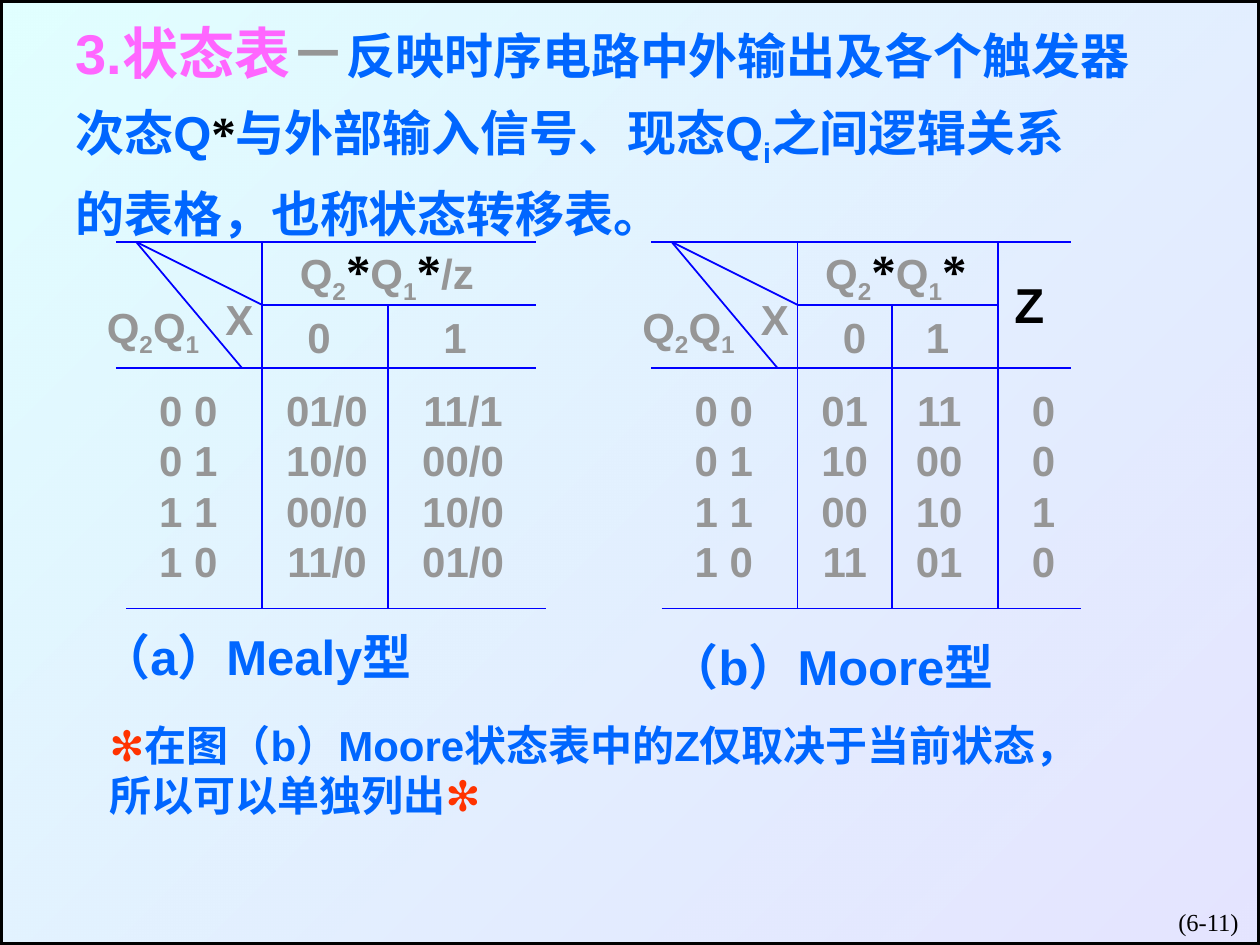
import pptx
import pptx.util
import pptx.dml.color
import pptx.enum.shapes
import pptx.enum.text
import pptx.oxml.ns
from lxml import etree
from pptx.util import Inches

RGBColor = pptx.dml.color.RGBColor
BLACK = RGBColor(0x00, 0x00, 0x00)
GREY = RGBColor(0x96, 0x96, 0x96)
BLUE = RGBColor(0x00, 0x66, 0xFF)
LINE_BLUE = RGBColor(0x00, 0x00, 0xFF)
PINK = RGBColor(0xFF, 0x66, 0xFF)
RED = RGBColor(0xFF, 0x33, 0x00)
PALE_CYAN = RGBColor(0xCC, 0xFF, 0xFF)
PALE_VIOLET = RGBColor(0xCC, 0xCC, 0xFF)

ALIGN = pptx.enum.text.PP_ALIGN
ANCHOR = pptx.enum.text.MSO_ANCHOR
AUTO_SIZE = pptx.enum.text.MSO_AUTO_SIZE
qn = pptx.oxml.ns.qn

# Text formats: font values, colour and baseline shift
CELL = {"size": 24, "name": "Arial", "bold": True, "color": GREY}
SUB = {**CELL, "baseline": -25}
STAR = {"size": 28, "name": "Times New Roman", "bold": True, "color": BLACK}
BODY = {**CELL, "size": 28, "color": BLUE}
TITLE = {**BODY, "size": 32, "color": PINK}
NOTE = {**CELL, "color": BLUE}
NOTE_MARK = {**CELL, "color": RED}
PAGE_NUMBER = {"size": 14, "name": "Times New Roman", "bold": False, "color": BLACK}

deck = pptx.Presentation()
deck.slide_width, deck.slide_height = Inches(10), Inches(7.5)
page = deck.slides.add_slide(deck.slide_layouts[6])


def add_text(place, paragraphs, align=ALIGN.CENTER, wrap=False, spacing=None,
             anchor=ANCHOR.MIDDLE, fit=AUTO_SIZE.SHAPE_TO_FIT_TEXT):
    """Add a text box; each paragraph is a list of (text, format) spans."""
    box = page.shapes.add_textbox(*map(Inches, place))
    frame = box.text_frame
    frame.word_wrap = wrap
    frame.auto_size = fit
    frame.vertical_anchor = anchor
    for index, spans in enumerate(paragraphs):
        para = frame.add_paragraph() if index else frame.paragraphs[0]
        para.alignment = align
        para.line_spacing = spacing
        for text, style in spans:
            span = para.add_run()
            span.text = text
            for key, value in style.items():
                if key == "color":
                    span.font.color.rgb = value
                elif key == "baseline":
                    span.font._element.set("baseline", str(value * 1000))
                else:
                    setattr(span.font, key, pptx.util.Pt(value) if key == "size" else value)


def add_rule(x1, y1, x2, y2):
    rule = page.shapes.add_connector(
        pptx.enum.shapes.MSO_CONNECTOR.STRAIGHT, *map(Inches, (x1, y1, x2, y2)))
    rule.line.color.rgb = LINE_BLUE
    rule.line.width = pptx.util.Pt(1)
    etree.SubElement(rule._element.spPr, qn("a:effectLst"))


# Framed gradient background
backdrop = page.shapes.add_shape(
    pptx.enum.shapes.MSO_SHAPE.RECTANGLE, 0, 0, deck.slide_width, deck.slide_height)
backdrop.shadow.inherit = False
backdrop.line.color.rgb = BLACK
backdrop.line.width = pptx.util.Pt(3)
backdrop.fill.gradient()
backdrop.fill.gradient_angle = 315
stops = backdrop.fill.gradient_stops
for stop, color, position in zip(stops, (PALE_CYAN, PALE_VIOLET), (0, 1)):
    stop.color.rgb = color
    stop.position = position
gradient = backdrop._element.spPr.find(qn("a:gradFill"))
for color_node, opacity in zip(gradient.iter(qn("a:srgbClr")), (59, 51)):
    etree.SubElement(color_node, qn("a:alpha")).set("val", str(opacity * 1000))

add_text((7.85, 7.15, 2.08, 0.5), [[("(6-11)", PAGE_NUMBER)]], ALIGN.RIGHT, True,
         anchor=ANCHOR.TOP, fit=AUTO_SIZE.NONE)

add_text((0.5, -0.04, 8.88, 2.02), [
    [("3.状态表", TITLE), ("－", {**TITLE, "color": GREY}),
     ("反映时序电路中外输出及各个触发器", BODY)],
    [("次态Q", BODY), ("*", STAR), ("与外部输入信号、现态Q", BODY),
     ("i", {**BODY, "baseline": -25}), ("之间逻辑关系", BODY)],
    [("的表格，也称状态转移表。", BODY)],
], ALIGN.LEFT, True, 1.25)

# State tables; x values are measured from each table's own left offset
TOP, HEADER, MIDDLE, BOTTOM = 1.92, 2.42, 2.92, 4.83
STUB = 2.08
CURRENT_STATE = [("Q", CELL), ("2", SUB), ("Q", CELL), ("1", SUB)]
NEXT_STATE = [("Q", CELL), ("2", SUB), ("*", STAR), ("Q", CELL), ("1", SUB), ("*", STAR)]
STATES = ["0 0", "0 1", "1 1", "1 0"]

tables = [
    {"offset": 0, "header_end": 4.25, "dividers": [(3.08, HEADER)],
     "heading": (2.28, 1.58, NEXT_STATE + [("/z", CELL)]),
     "inputs": [(2.34, "0"), (3.42, "1")],
     "columns": [(2.17, 0.85, ["01/0", "10/0", "00/0", "11/0"]),
                 (3.25, 0.85, ["11/1", "00/0", "10/0", "01/0"])],
     "caption": (0.52, 4.92, 3.03, "（a）Mealy型")},
    {"offset": 4.25, "header_end": 3.67, "dividers": [(2.83, HEADER), (3.67, TOP)],
     "heading": (2.2, 1.32, NEXT_STATE),
     "inputs": [(2.34, "0"), (3, "1")],
     "columns": [(2.17, 0.57, ["01", "10", "00", "11"]),
                 (2.92, 0.57, ["11", "00", "10", "01"]),
                 (3.84, 0.38, ["0", "0", "1", "0"])],
     "caption": (0.78, 5, 3.14, "（b）Moore型")},
]

for table in tables:
    left = table["offset"]
    rules = [
        (0.92, TOP, 4.25, TOP),
        (0.92, MIDDLE, 4.25, MIDDLE),
        (1, BOTTOM, 4.33, BOTTOM),
        (STUB, TOP, STUB, BOTTOM),
        (STUB, HEADER, table["header_end"], HEADER),
        (STUB, HEADER, 1.08, TOP),
        (1.08, TOP, 1.92, MIDDLE),
    ] + [(x, start, x, BOTTOM) for x, start in table["dividers"]]
    for x1, y1, x2, y2 in rules:
        add_rule(left + x1, y1, left + x2, y2)

    x, width, spans = table["heading"]
    add_text((left + x, 1.86, width, 0.61), [spans])
    add_text((left + 1.69, 2.28, 0.42, 0.5), [[("X", CELL)]])
    add_text((left + 0.73, 2.34, 0.97, 0.56), [CURRENT_STATE])
    for x, label in table["inputs"]:
        add_text((left + x, 2.42, 0.38, 0.5), [[(label, CELL)]])
    for x, width, values in [(1.08, 0.83, STATES)] + table["columns"]:
        add_text((left + x, 3, width, 1.7), [[(value, CELL)] for value in values])
    x, y, width, caption = table["caption"]
    add_text((left + x, y, width, 0.57), [[(caption, BODY)]])

add_text((7.95, 2.13, 0.44, 0.57), [[("Z", {**BODY, "color": BLACK})]])

add_text((0.77, 5.66, 8.36, 0.9), [
    [("✻", NOTE_MARK), ("在图（b）Moore状态表中的Z仅取决于当前状态，", NOTE)],
    [("所以可以单独列出", NOTE), ("✻", NOTE_MARK)],
], ALIGN.LEFT)

deck.save("out.pptx")
